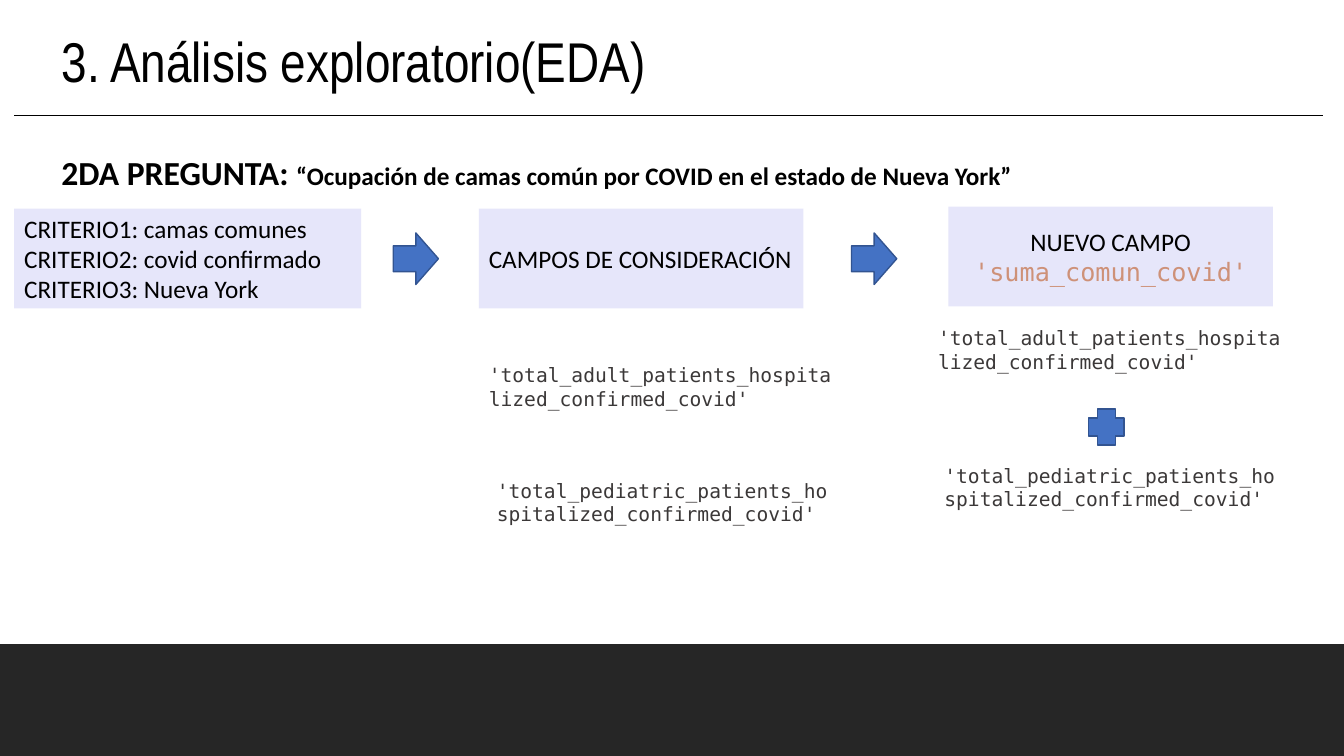
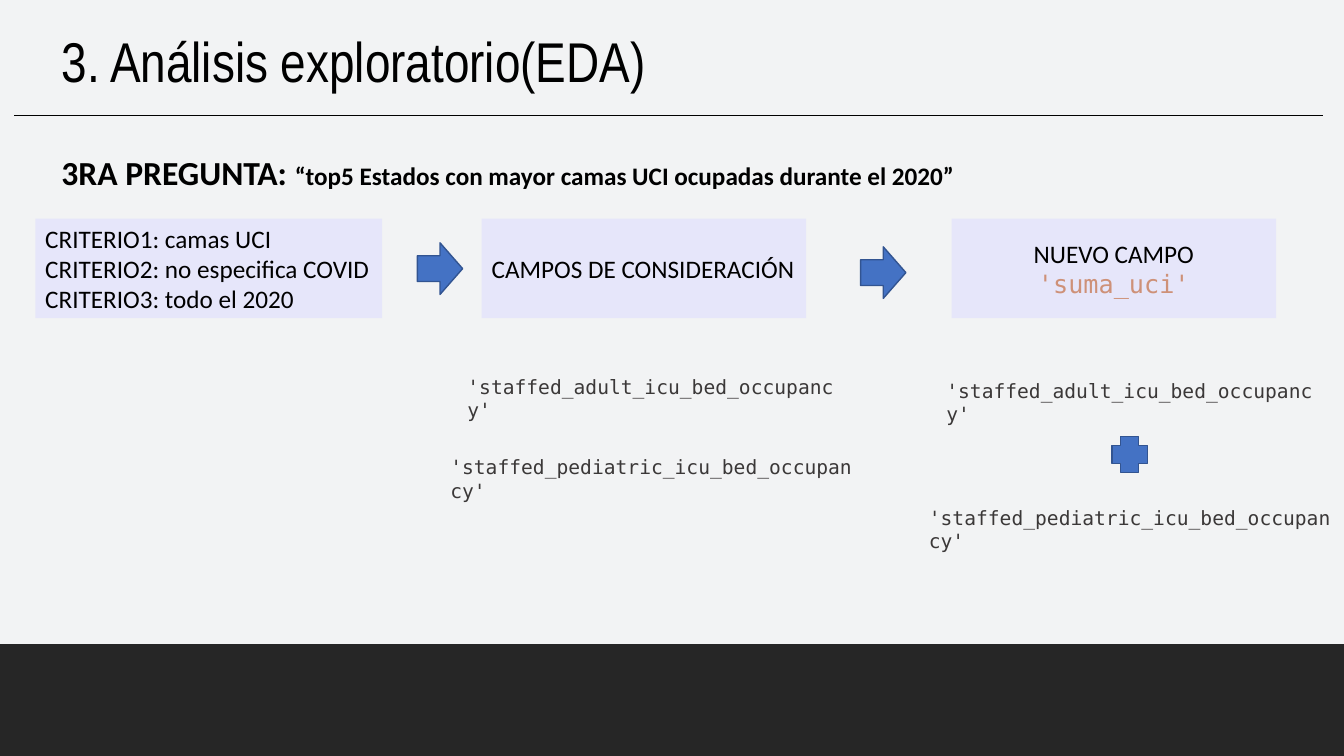
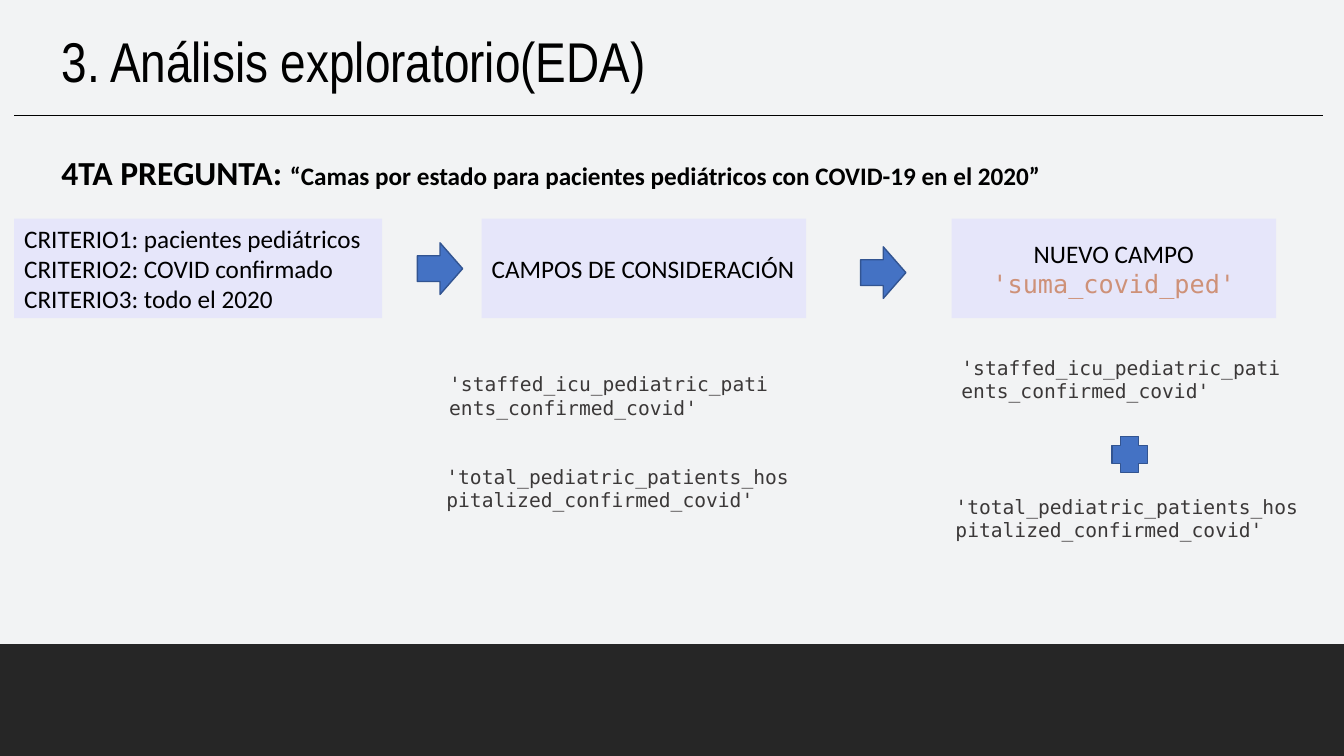
from pptx import Presentation
from pptx.dml.color import RGBColor
from pptx.enum.shapes import MSO_CONNECTOR, MSO_SHAPE
from pptx.enum.text import MSO_ANCHOR, MSO_AUTO_SIZE, PP_ALIGN
from pptx.oxml.ns import qn
from pptx.util import Cm, Pt
from lxml import etree

COLORS = {"white": "FFFFFF", "gray": "F2F3F4", "band": "262626", "black": "000000",
          "box": "E6E6FA", "blue": "4472C4", "edge": "325491",
          "code": "3B3838", "new": "CE9178"}
MONO = "DejaVu Sans Mono"
STYLES = {
    "title": ({"name": "Arial Narrow", "size": Pt(40)}, "black"),
    "question": ({"name": "Calibri", "size": Pt(24), "bold": True}, "black"),
    "quote": ({"name": "Calibri", "size": Pt(18), "bold": True}, "black"),
    "label": ({"name": "Calibri", "size": Pt(18)}, "black"),
    "code": ({"name": MONO, "size": Pt(14)}, "code"),
    "new": ({"name": MONO, "size": Pt(18)}, "new"),
}
BOX_H = 2.51
BOX_W = 8.18

ADULT = "'total_adult_patients_hospitalized_confirmed_covid'"
PEDIATRIC = "'total_pediatric_patients_hospitalized_confirmed_covid'"

# Lengths are in cm. A field holds its text, its width and its two (left, top) places.
SLIDES = [
    {"bg": "white", "question": "2DA PREGUNTA: ",
     "quote": "“Ocupación de camas común por COVID en el estado de Nueva York”",
     "criteria": ["camas comunes", "covid confirmado", "Nueva York"],
     "criteria_box": (0.36, 5.26, 8.74), "fields_box": (12.07, 5.26), "new_box": (23.9, 5.21),
     "new": "'suma_comun_covid'",
     "arrows": [(9.91, 5.87), (21.46, 5.87)], "plus": (27.43, 10.31),
     "fields": [(ADULT, 9.22, [(12.07, 9.02), (23.39, 8.1)]),
                (PEDIATRIC, 8.89, [(12.27, 11.94), (23.55, 11.56)])]},
    {"bg": "gray", "question": "3RA PREGUNTA: ",
     "quote": "“top5 Estados con mayor camas UCI ocupadas durante el 2020”",
     "criteria": ["camas UCI", "no especifica COVID", "todo el 2020"],
     "criteria_box": (0.89, 5.51, 8.74), "fields_box": (12.14, 5.51), "new_box": (23.98, 5.51),
     "new": "'suma_uci'",
     "arrows": [(10.52, 6.12), (21.69, 6.22)], "plus": (28.02, 11),
     "fields": [("'staffed_adult_icu_bed_occupancy'", 9.83, [(11.53, 9.32), (23.6, 9.42)]),
                ("'staffed_pediatric_icu_bed_occupancy'", 10.72,
                 [(11.1, 11.35), (23.16, 12.62)])]},
    {"bg": "gray", "question": "4TA PREGUNTA: ",
     "quote": "“Camas por estado para pacientes pediátricos con COVID-19 en el 2020”",
     "criteria": ["pacientes pediátricos", "COVID confirmado", "todo el 2020"],
     "criteria_box": (0.36, 5.51, 9.27), "fields_box": (12.14, 5.51), "new_box": (23.98, 5.51),
     "new": "'suma_covid_ped'",
     "arrows": [(10.52, 6.12), (21.69, 6.22)], "plus": (28.02, 11),
     "fields": [("'staffed_icu_pediatric_patients_confirmed_covid'", 8.64,
                 [(11.07, 9.25), (23.98, 8.84)]),
                (PEDIATRIC, 9.27, [(11, 11.58), (23.83, 12.34)])]},
]


def write(sp, paragraphs, anchor=MSO_ANCHOR.TOP, align=PP_ALIGN.LEFT):
    """Fill a shape with paragraphs, each a list of (text, style) runs."""
    tf = sp.text_frame
    tf.word_wrap = True
    tf.auto_size = MSO_AUTO_SIZE.NONE
    tf.vertical_anchor = anchor
    for i, runs in enumerate(paragraphs):
        p = tf.add_paragraph() if i else tf.paragraphs[0]
        p.alignment = align
        for text, style in runs:
            r = p.add_run()
            r.text = text
            font, color = STYLES[style]
            for key, value in font.items():
                setattr(r.font, key, value)
            r.font.color.rgb = RGBColor.from_string(COLORS[color])


def add_filled(s, kind, left, top, width, height, fill, line=None):
    sp = s.shapes.add_shape(kind, Cm(left), Cm(top), Cm(width), Cm(height))
    sp.shadow.inherit = False
    sp.fill.solid()
    sp.fill.fore_color.rgb = RGBColor.from_string(COLORS[fill])
    if line:
        sp.line.color.rgb = RGBColor.from_string(COLORS[line])
        sp.line.width = Pt(1)
    else:
        sp.line.fill.background()
    return sp


prs = Presentation()
prs.slide_width, prs.slide_height = Cm(33.87), Cm(19.05)

for data in SLIDES:
    s = prs.slides.add_slide(prs.slide_layouts[5])
    s.background.fill.solid()
    s.background.fill.fore_color.rgb = RGBColor.from_string(COLORS[data["bg"]])

    # Frame: band, title and rule
    add_filled(s, MSO_SHAPE.RECTANGLE, 0, 16.23, 33.87, 2.82, "band")
    title = s.shapes.title
    title.left, title.top, title.width, title.height = Cm(1.3), Cm(0.53), Cm(19.58), Cm(2.3)
    write(title, [[("3. Análisis exploratorio(EDA)", "title")]])
    rule = s.shapes.add_connector(MSO_CONNECTOR.STRAIGHT, Cm(0.36), Cm(2.9), Cm(33.35), Cm(2.9))
    rule.line.color.rgb = RGBColor.from_string(COLORS["black"])
    rule.line.width = Pt(0.5)
    etree.SubElement(rule._element.spPr, qn("a:effectLst"))

    question = s.shapes.add_textbox(Cm(1.3), Cm(3.71), Cm(25.4), Cm(1.27))
    write(question, [[(data["question"], "question"), (data["quote"], "quote")]])

    # Flow: criteria, fields, new field
    criteria = [[(f"CRITERIO{n}: {text}", "label")]
                for n, text in enumerate(data["criteria"], 1)]
    new_field = [[("NUEVO CAMPO ", "label"), (data["new"], "new")]]
    for box, paragraphs, align in [
            (data["criteria_box"], criteria, PP_ALIGN.LEFT),
            ((*data["fields_box"], BOX_W), [[("CAMPOS DE CONSIDERACIÓN", "label")]], PP_ALIGN.LEFT),
            ((*data["new_box"], BOX_W), new_field, PP_ALIGN.CENTER)]:
        sp = add_filled(s, MSO_SHAPE.RECTANGLE, *box, BOX_H, "box")
        write(sp, paragraphs, MSO_ANCHOR.MIDDLE, align)
    for left, top in data["arrows"]:
        add_filled(s, MSO_SHAPE.RIGHT_ARROW, left, top, 1.14, 1.3, "blue", "edge")

    # Fields under the last two boxes
    for name, width, places in data["fields"]:
        for left, top in places:
            sp = s.shapes.add_textbox(Cm(left), Cm(top), Cm(width), Cm(1.45))
            write(sp, [[(name, "code")]])
    add_filled(s, MSO_SHAPE.CROSS, *data["plus"], 0.9, 0.9, "blue", "edge")

prs.save("out.pptx")
